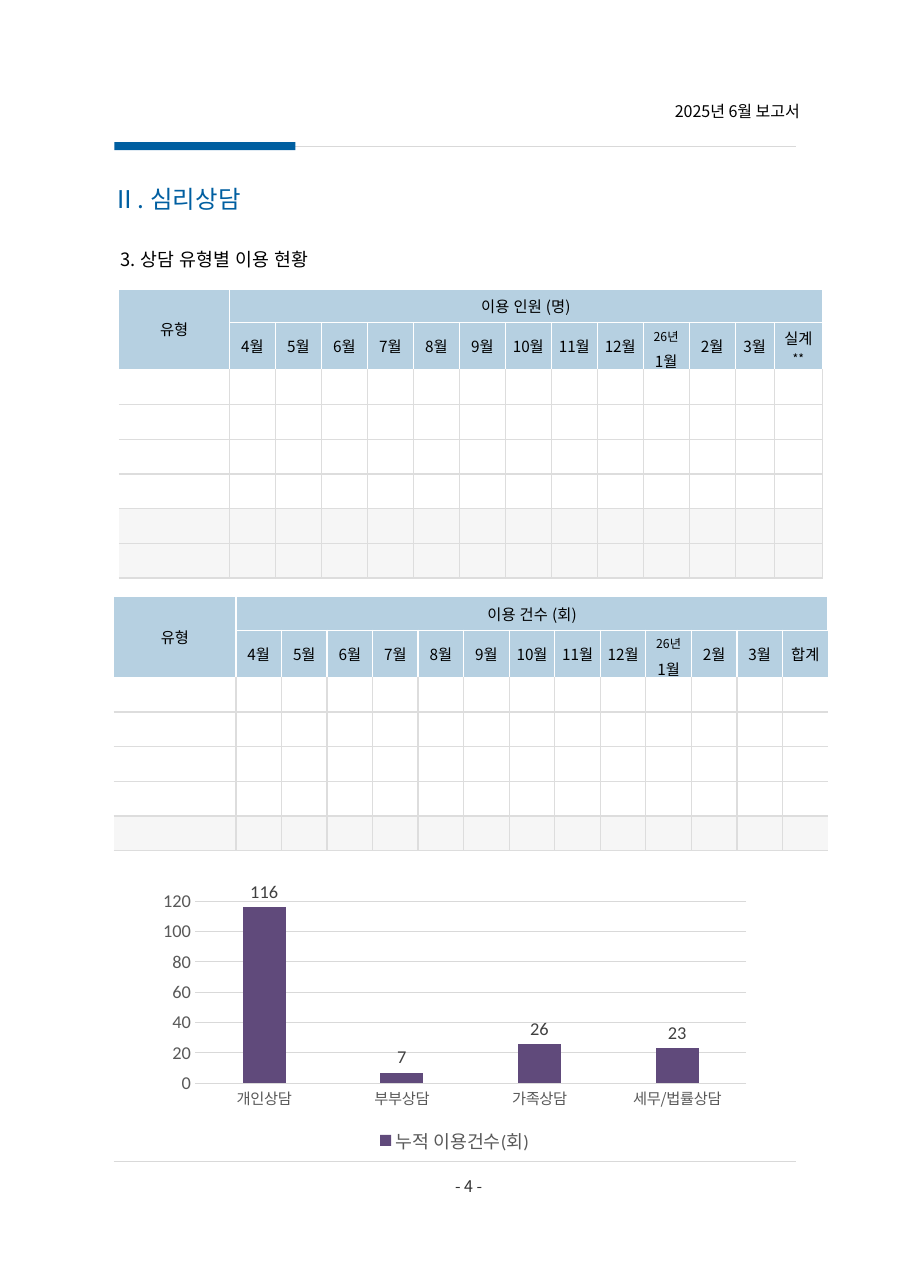
from dataclasses import dataclass
from lxml.etree import SubElement
from pptx import Presentation
from pptx.chart.data import CategoryChartData
from pptx.dml.color import RGBColor
from pptx.enum.chart import XL_CHART_TYPE, XL_LABEL_POSITION, XL_LEGEND_POSITION, XL_TICK_MARK
from pptx.enum.shapes import MSO_CONNECTOR, MSO_SHAPE
from pptx.enum.text import MSO_ANCHOR, MSO_AUTO_SIZE, PP_ALIGN
from pptx.oxml.ns import qn
from pptx.util import Cm, Pt

COLORS = {
    "blue": "005FA1", "header": "B6D0E1", "total": "F6F6F6", "white": "FFFFFF", "grid": "DDDDDD",
    "rule": "D9D9D9", "black": "000000", "page": "333333", "label": "404040", "axis": "595959",
    "bar": "604A7B",
}
KOREAN, LATIN = "Noto Sans CJK KR", "Calibri"
MONTHS = [f"{m}월" for m in range(4, 13)] + ["26년\n1월", "2월", "3월"]


@dataclass
class Label:
    text: str
    box: tuple[float, float, float, float]
    size: float
    color: str
    align: PP_ALIGN
    top: float = 0
    left: float = 0
    before: float = 0
    leading: float = 1
    spacing: int = 0


@dataclass
class UsageTable:
    title: str
    unit: str
    last: str
    left: float
    top: float
    widths: list[float]
    body_rows: int
    total_rows: int
    right_edge: bool


LABELS = [
    Label("3. 상담 유형별 이용 현황", (2.64, 5.26, 15.7, 0.91), 12, "black", PP_ALIGN.JUSTIFY,
          top=0.2, left=0.14, before=6, leading=1.5, spacing=20),
    Label("- 4 -", (9.65, 27.03, 2.31, 0.51), 10.5, "page", PP_ALIGN.CENTER, top=0.08, before=1.9),
    Label("2025년 6월 보고서", (14.15, 2.31, 4.29, 0.48), 10.5, "black", PP_ALIGN.RIGHT,
          top=0.03, before=1),
]
TABLES = [
    UsageTable("이용 인원 ", "(명)", "실계**", 2.74, 6.66, [2.55] + [1.06] * 11 + [0.9, 1.11], 6, 2, True),
    UsageTable("이용 건수 ", "(회)", "합계", 2.62, 13.75, [2.82] + [1.05] * 13, 5, 1, False),
]


def rgb(name: str) -> RGBColor:
    """Return a palette colour."""
    return RGBColor.from_string(COLORS[name])


def set_font(font, size: float, color: str, name: str = KOREAN) -> None:
    """Format a font."""
    font.size, font.name = Pt(size), name
    font.color.rgb = rgb(color)


def add_text(p, text: str, *, size: float = 10, color: str = "black", align=PP_ALIGN.CENTER,
             before: float = 0, leading: float = 1, spacing: int = 0) -> None:
    """Add a formatted run to a paragraph."""
    p.alignment, p.space_before, p.line_spacing = align, Pt(before), leading
    r = p.add_run()
    r.text = text
    set_font(r.font, size, color)
    rpr = r.font._element
    rpr.set("spc", str(spacing))
    SubElement(rpr, qn("a:ea"), typeface=KOREAN)


def add_label(s, label: Label) -> None:
    """Add a text box."""
    tf = s.shapes.add_textbox(*map(Cm, label.box)).text_frame
    tf.word_wrap = True
    tf.margin_left, tf.margin_top = Cm(label.left), Cm(label.top)
    tf.margin_right = tf.margin_bottom = 0
    add_text(tf.paragraphs[0], label.text, size=label.size, color=label.color, align=label.align,
             before=label.before, leading=label.leading, spacing=label.spacing)


def add_rule(s, x1: float, x2: float, y: float) -> None:
    """Add a thin horizontal line."""
    c = s.shapes.add_connector(MSO_CONNECTOR.STRAIGHT, Cm(x1), Cm(y), Cm(x2), Cm(y))
    c.line.color.rgb, c.line.width = rgb("rule"), Pt(0.75)
    SubElement(c._element.spPr, qn("a:effectLst"))


def format_cell(cell, fill: str, edges: dict[str, str]) -> None:
    """Set the margins, borders, fill and empty-text size of a cell."""
    cell.margin_left = cell.margin_right = cell.margin_top = cell.margin_bottom = Cm(0.1)
    cell.vertical_anchor = MSO_ANCHOR.MIDDLE
    tcpr = cell._tc.get_or_add_tcPr()
    for side in "LRTB":
        ln = SubElement(tcpr, qn(f"a:ln{side}"), w=str(Pt(1)))
        if side in edges:
            solid = SubElement(ln, qn("a:solidFill"))
            SubElement(solid, qn("a:srgbClr"), val=COLORS[edges[side]])
        else:
            SubElement(ln, qn("a:noFill"))
    cell.fill.solid()
    cell.fill.fore_color.rgb = rgb(fill)
    p = cell.text_frame.paragraphs[0]
    if not p.runs:
        SubElement(p._p, qn("a:endParaRPr"), sz="1000")


def add_month(cell, text: str) -> None:
    """Write a column heading, with small year and footnote marks."""
    tf = cell.text_frame
    for i, line in enumerate(text.split("\n")):
        p = tf.add_paragraph() if i else tf.paragraphs[0]
        word = line.rstrip("*")
        add_text(p, word, size=8 if "년" in word else 10, before=3.4)
        if word != line:
            add_text(p, line[len(word):], size=8, before=3.4)


def add_usage_table(s, t: UsageTable) -> None:
    """Add a monthly usage table."""
    heights = [0.78, 1.07] + [0.8] * t.body_rows
    rows, cols = len(heights), len(t.widths)
    tb = s.shapes.add_table(rows, cols, Cm(t.left), Cm(t.top), Cm(sum(t.widths)), Cm(sum(heights))).table
    tb.first_row = tb.horz_banding = False
    for col, w in zip(tb.columns, t.widths):
        col.width = Cm(w)
    for row, h in zip(tb.rows, heights):
        row.height = Cm(h)
    tb.cell(0, 0).merge(tb.cell(1, 0))
    tb.cell(0, 1).merge(tb.cell(0, cols - 1))
    add_text(tb.cell(0, 0).text_frame.paragraphs[0], "유형", before=9.1)
    p = tb.cell(0, 1).text_frame.paragraphs[0]
    add_text(p, t.title, before=8.8, spacing=20)
    add_text(p, t.unit, before=8.8, spacing=10)
    for c, text in enumerate(MONTHS + [t.last], 1):
        add_month(tb.cell(1, c), text)
    for i in range(rows):
        for j in range(cols):
            line = "white" if i < 2 else "grid"
            fill = "header" if i < 2 else "total" if i >= rows - t.total_rows else "white"
            edges = {"T": "white" if i == 2 else line, "B": "white" if i == 1 else line}
            if j:
                edges["L"] = line
            if j < cols - 1 or t.right_edge:
                edges["R"] = line
            format_cell(tb.cell(i, j), fill, edges)


def add_usage_chart(s) -> None:
    """Add the cumulative usage column chart."""
    data = CategoryChartData()
    data.categories = ["개인상담", "부부상담", "가족상담", "세무/법률상담"]
    data.add_series("누적 이용건수(회)", [116, 7, 26, 23])
    ch = s.shapes.add_chart(XL_CHART_TYPE.COLUMN_CLUSTERED, Cm(3.48), Cm(20.32), Cm(14), Cm(6.38), data).chart
    set_font(ch.font, 10, "black", LATIN)
    ch.has_title, ch.has_legend = False, True
    ch.legend.position, ch.legend.include_in_layout = XL_LEGEND_POSITION.BOTTOM, False
    set_font(ch.legend.font, 12, "axis", LATIN)
    cat, val = ch.category_axis, ch.value_axis
    for axis, size, name in ((cat, 10, KOREAN), (val, 12, LATIN)):
        axis.major_tick_mark = axis.minor_tick_mark = XL_TICK_MARK.NONE
        set_font(axis.tick_labels.font, size, "axis", name)
    val.minimum_scale, val.maximum_scale, val.major_unit = 0, 120, 20
    val.format.line.fill.background()
    for line in (cat.format.line, val.major_gridlines.format.line):
        line.color.rgb, line.width = rgb("rule"), Pt(0.75)
    plot = ch.plots[0]
    plot.gap_width, plot.overlap, plot.vary_by_categories = 219, -27, False
    fill = plot.series[0].format.fill
    fill.solid()
    fill.fore_color.rgb = rgb("bar")
    plot.has_data_labels = True
    labels = plot.data_labels
    labels.show_value, labels.position = True, XL_LABEL_POSITION.OUTSIDE_END
    set_font(labels.font, 12, "label", LATIN)


def main() -> None:
    """Build the report page."""
    prs = Presentation()
    prs.slide_width, prs.slide_height = Cm(20.98), Cm(29.69)
    s = prs.slides.add_slide(prs.slide_layouts[5])
    title = s.shapes.title
    title.left, title.top, title.width, title.height = map(Cm, (2.34, 4.11, 5.94, 0.94))
    tf = title.text_frame
    tf.auto_size, tf.vertical_anchor = MSO_AUTO_SIZE.NONE, MSO_ANCHOR.TOP
    add_text(tf.paragraphs[0], "Ⅱ. 심리상담", size=16, color="blue", align=PP_ALIGN.LEFT, spacing=20)
    add_rule(s, 6.38, 18.36, 3.38)
    add_rule(s, 2.62, 18.36, 26.77)
    sp = s.shapes.add_shape(MSO_SHAPE.RECTANGLE, Cm(2.64), Cm(3.28), Cm(4.17), Cm(0.18))
    sp.shadow.inherit = False
    sp.fill.solid()
    sp.fill.fore_color.rgb = rgb("blue")
    sp.line.fill.background()
    for label in LABELS:
        add_label(s, label)
    for table in TABLES:
        add_usage_table(s, table)
    add_usage_chart(s)
    prs.save("out.pptx")


if __name__ == "__main__":
    main()
